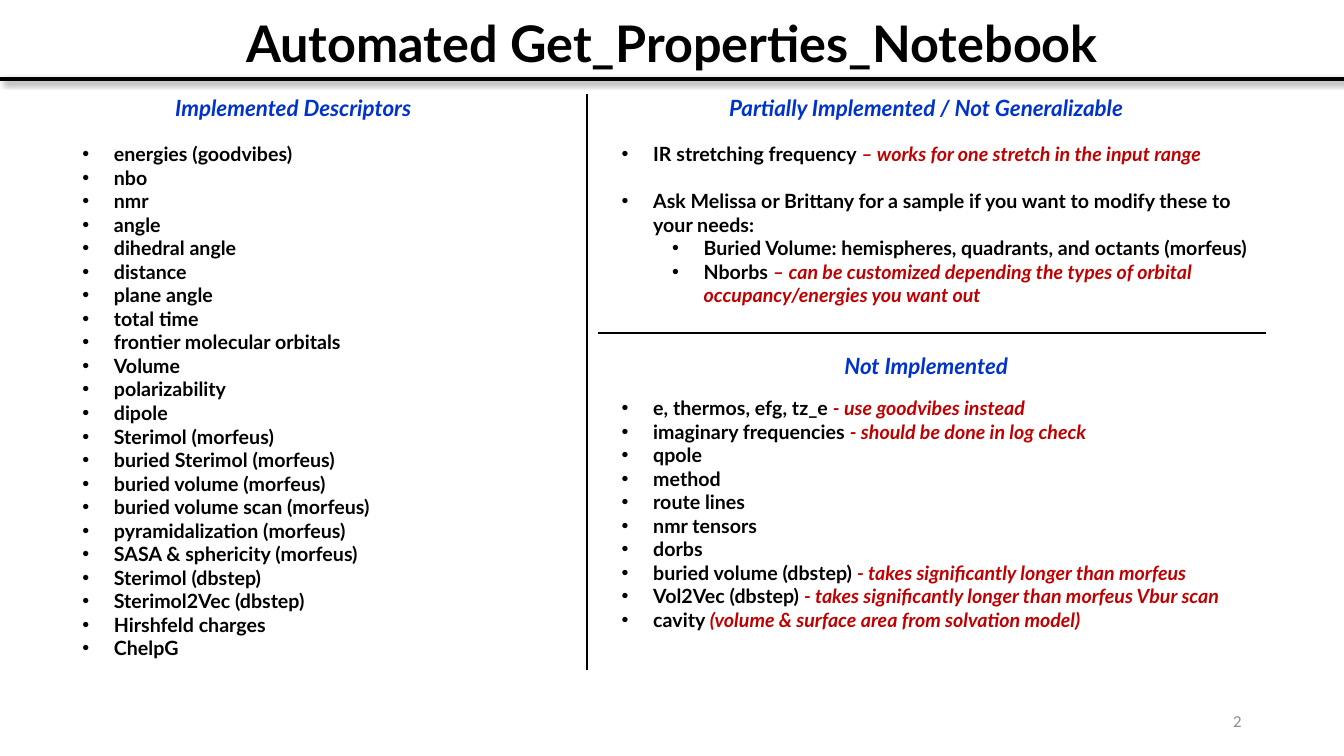
from dataclasses import dataclass

from lxml import etree
from pptx import Presentation
from pptx.dml.color import RGBColor
from pptx.enum.shapes import MSO_CONNECTOR
from pptx.enum.text import MSO_ANCHOR, PP_ALIGN
from pptx.oxml.ns import qn
from pptx.util import Pt

STRAIGHT = MSO_CONNECTOR.STRAIGHT
TOP, MIDDLE, BOTTOM = MSO_ANCHOR.TOP, MSO_ANCHOR.MIDDLE, MSO_ANCHOR.BOTTOM
LEFT, CENTER, RIGHT = PP_ALIGN.LEFT, PP_ALIGN.CENTER, PP_ALIGN.RIGHT


@dataclass(frozen=True)
class Theme:
    """Colours, fonts and type sizes of the slide."""
    ink: str = "000000"
    heading: str = "0033CC"
    note: str = "C00000"
    muted: str = "8C8C8C"
    font: str = "Lato"
    number_font: str = "Calibri"
    title_size: int = 36
    heading_size: int = 16
    body_size: int = 14
    number_size: int = 12
    line_pitch: float = 16.8
    bullet_indent: float = 22.5
    level_indent: float = 36


THEME = Theme()

IMPLEMENTED = [(name,) for name in (
    "energies (goodvibes)", "nbo", "nmr", "angle", "dihedral angle",
    "distance", "plane angle", "total time", "frontier molecular orbitals",
    "Volume", "polarizability", "dipole", "Sterimol (morfeus)",
    "buried Sterimol (morfeus)", "buried volume (morfeus)",
    "buried volume scan (morfeus)", "pyramidalization (morfeus)",
    "SASA & sphericity (morfeus)", "Sterimol (dbstep)",
    "Sterimol2Vec (dbstep)", "Hirshfeld charges", "ChelpG")]
PARTIAL = [
    ("IR stretching frequency ", "– works for one stretch in the input range"),
    ("Ask Melissa or Brittany for a sample if you want to modify these to "
     "your needs:",),
    ("Buried Volume: hemispheres, quadrants, and octants (morfeus)",),
    ("Nborbs ", "– can be customized depending the types of orbital "
     "occupancy/energies you want out")]
MISSING = [
    ("e, thermos, efg, tz_e ", "- use goodvibes instead"),
    ("imaginary frequencies ", "- should be done in log check"),
    ("qpole",), ("method",), ("route lines",), ("nmr tensors",), ("dorbs",),
    ("buried volume (dbstep) ", "- takes significantly longer than morfeus"),
    ("Vol2Vec (dbstep) ",
     "- takes significantly longer than morfeus Vbur scan"),
    ("cavity ", "(volume & surface area from solvation model)")]


def add_run(p, text, size, color, bold=True, italic=False, font=THEME.font):
    """Append one formatted run to a paragraph."""
    r = p.add_run()
    r.text = text
    r.font.name, r.font.size = font, Pt(size)
    r.font.bold, r.font.italic = bold, italic
    r.font.color.rgb = RGBColor.from_string(color)


def add_text_frame(slide, box, anchor=TOP, align=LEFT):
    """Add a wrapping text box and return its text frame."""
    tf = slide.shapes.add_textbox(*map(Pt, box)).text_frame
    tf.word_wrap = True
    tf.vertical_anchor = anchor
    tf.paragraphs[0].alignment = align
    return tf


def add_rule(slide, start, end, width):
    """Draw a straight line and return its empty effect list."""
    line = slide.shapes.add_connector(STRAIGHT, *map(Pt, start + end))
    line.line.width = Pt(width)
    line.line.color.rgb = RGBColor.from_string(THEME.ink)
    return etree.SubElement(line._element.spPr, qn("a:effectLst"))


def add_title(slide, box, text):
    """Place the title with a shadowed rule along its lower edge."""
    x, y, w, h = box
    p = add_text_frame(slide, box, BOTTOM, CENTER).paragraphs[0]
    p.line_spacing = 0.9
    add_run(p, text, THEME.title_size, THEME.ink)
    effects = add_rule(slide, (x, y + h), (x + w, y + h), 3)
    shadow = etree.SubElement(
        effects, qn("a:outerShdw"), blurRad=str(Pt(4)), dist=str(Pt(3)),
        dir="2700000", algn="tl", rotWithShape="0")
    color = etree.SubElement(shadow, qn("a:srgbClr"), val=THEME.ink)
    etree.SubElement(color, qn("a:alpha"), val="40000")


def add_heading(slide, box, text):
    """Place a centred section heading."""
    p = add_text_frame(slide, box, align=CENTER).paragraphs[0]
    add_run(p, text, THEME.heading_size, THEME.heading, italic=True)


def add_bullets(slide, box, items, levels=None, spaced=()):
    """Place bulleted items, each a text with an optional red note."""
    tf = add_text_frame(slide, box)
    for i, (text, *notes) in enumerate(items):
        p = tf.add_paragraph() if i else tf.paragraphs[0]
        p.level = levels[i] if levels else 0
        if i in spaced:
            p.space_before = Pt(THEME.line_pitch)
        props = p._p.get_or_add_pPr()
        indent = THEME.bullet_indent
        props.set("marL", str(Pt(indent + p.level * THEME.level_indent)))
        props.set("indent", str(-Pt(indent)))
        etree.SubElement(props, qn("a:buFont"), typeface="Arial")
        etree.SubElement(props, qn("a:buChar"), char="•")
        add_run(p, text, THEME.body_size, THEME.ink)
        for note in notes:
            add_run(p, note, THEME.body_size, THEME.note, italic=True)


def add_section(slide, box, heading, items, inset, list_top, **options):
    """Place a heading over its list, which is inset (left, right)."""
    x, y, w, h = box
    left, right = inset
    add_heading(slide, (x, y, w, 26.6), heading)
    add_bullets(slide, (x + left, y + list_top, w - left - right,
                        h - list_top), items, **options)


def add_number(slide, box, text):
    """Place the slide number."""
    p = add_text_frame(slide, box, MIDDLE, RIGHT).paragraphs[0]
    add_run(p, text, THEME.number_size, THEME.muted, bold=False,
            font=THEME.number_font)


def build_slide(slide, width):
    """Lay out the title, the three sections and the dividers."""
    top, split, right_w = 63.4, 419, 485.3
    add_title(slide, (0, 0, width, 56.2), "Automated Get_Properties_Notebook")
    add_section(slide, (0, top, split, 414.7), "Implemented Descriptors",
                IMPLEMENTED, (51.8, 33.1), 34.5)
    add_section(slide, (split, top, right_w, 160.5),
                "Partially Implemented / Not Generalizable", PARTIAL,
                (18, -3.6), 34.5, levels=(0, 0, 1, 1), spaced=(1,))
    add_section(slide, (split, 247.7, right_w, 208.8), "Not Implemented",
                MISSING, (18, 0.7), 31.7)
    add_rule(slide, (split, 478.8), (split, 67), 1.5)
    add_rule(slide, (split + right_w, 237.6), (split + 8, 237.6), 1.5)
    add_number(slide, (678, 500.4, 216, 28.8), "2")


def main():
    """Build and save the presentation."""
    prs = Presentation()
    prs.slide_width, prs.slide_height = Pt(960), Pt(540)
    build_slide(prs.slides.add_slide(prs.slide_layouts[6]), 960)
    prs.save("out.pptx")


if __name__ == "__main__":
    main()
